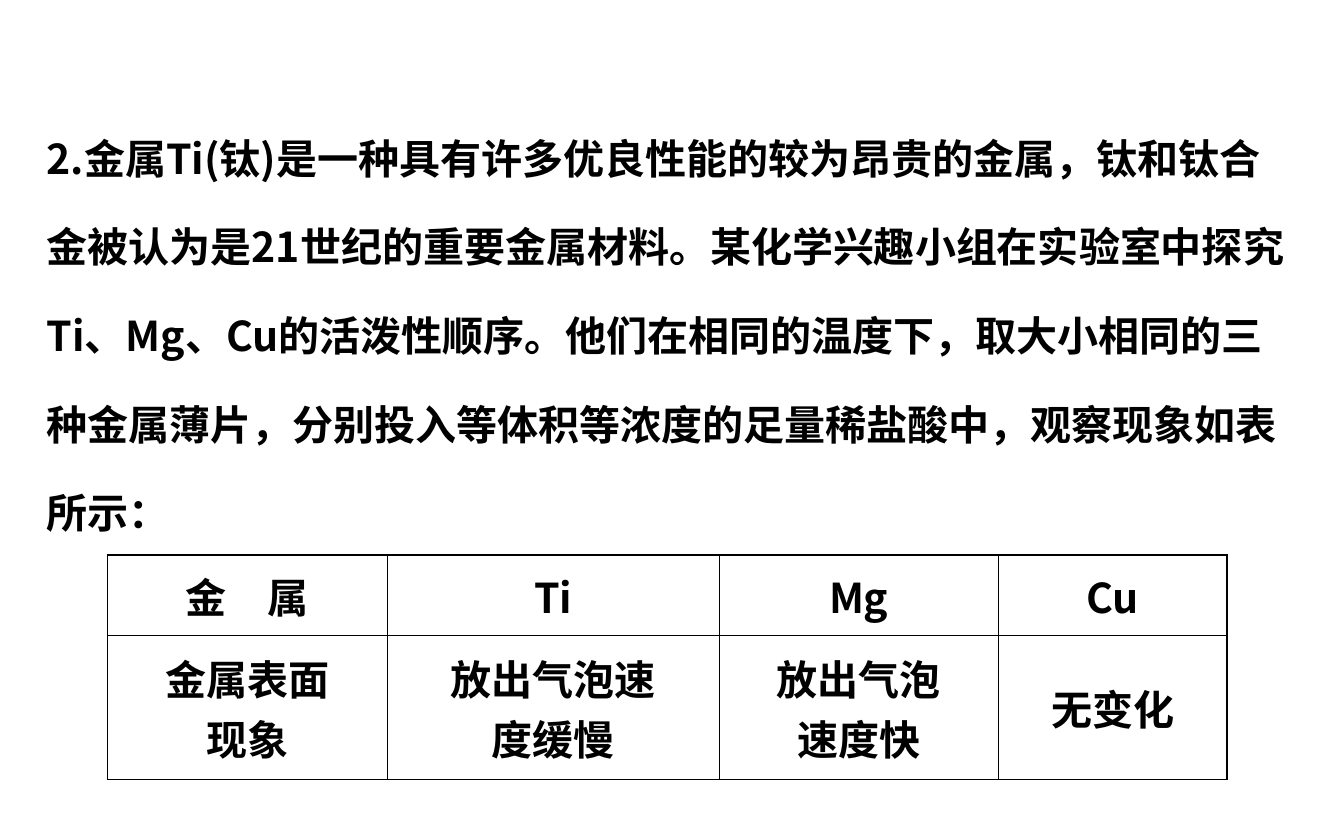
from lxml import etree
from pptx import Presentation
from pptx.dml.color import RGBColor
from pptx.enum.text import MSO_ANCHOR, PP_ALIGN
from pptx.oxml.ns import qn
from pptx.util import Inches, Pt

LEFT, CENTER = PP_ALIGN.LEFT, PP_ALIGN.CENTER
MIDDLE = MSO_ANCHOR.MIDDLE

FONT = "Noto Sans CJK SC"
COLORS = {"text": "000000", "border": "000000"}
OUTER_LINE, INNER_LINE = 0.75, 0.45

QUESTION = (
    "2.金属Ti(钛)是一种具有许多优良性能的较为昂贵的金属，钛和钛合金被认为是21世纪的重要金属材料。"
    "某化学兴趣小组在实验室中探究Ti、Mg、Cu的活泼性顺序。他们在相同的温度下，"
    "取大小相同的三种金属薄片，分别投入等体积等浓度的足量稀盐酸中，观察现象如表所示："
)
OBSERVATIONS = [
    [["金　属"], ["Ti"], ["Mg"], ["Cu"]],
    [["金属表面", "现象"], ["放出气泡速", "度缓慢"], ["放出气泡", "速度快"], ["无变化"]],
]
COLUMN_WIDTHS = [2.08, 2.47, 2.08, 1.7]
ROW_HEIGHTS = [0.6, 1.07]


def write_text(frame, paragraphs, size=22, bold=True, align=LEFT, line_spacing=None):
    frame.word_wrap = True
    for index, text in enumerate(paragraphs):
        paragraph = frame.paragraphs[0] if index == 0 else frame.add_paragraph()
        paragraph.alignment = align
        if line_spacing:
            paragraph.line_spacing = line_spacing
        run = paragraph.add_run()
        run.text = text
        run.font.size = Pt(size)
        run.font.bold = bold
        run.font.color.rgb = RGBColor.from_string(COLORS["text"])
        run.font.name = FONT
        east_asian = etree.SubElement(run.font._element, qn("a:ea"))
        east_asian.set("typeface", FONT)


def set_borders(cell, widths):
    """Draw the cell's borders; widths are points for left, right, top, bottom."""
    properties = cell._tc.get_or_add_tcPr()
    for position, (side, width) in enumerate(zip("LRTB", widths)):
        line = etree.Element(qn(f"a:ln{side}"), w=str(Pt(width)))
        fill = etree.SubElement(line, qn("a:solidFill"))
        etree.SubElement(fill, qn("a:srgbClr"), val=COLORS["border"])
        properties.insert(position, line)


def add_question(slide):
    box = slide.shapes.add_textbox(Inches(0.25), Inches(0.65), Inches(9.43), Inches(3.4))
    write_text(box.text_frame, [QUESTION], line_spacing=1.8)


def add_observations(slide):
    last_row, last_column = len(ROW_HEIGHTS) - 1, len(COLUMN_WIDTHS) - 1
    table = slide.shapes.add_table(
        len(ROW_HEIGHTS), len(COLUMN_WIDTHS), Inches(0.8), Inches(4.13),
        Inches(sum(COLUMN_WIDTHS)), Inches(sum(ROW_HEIGHTS)),
    ).table
    table.first_row = table.horz_banding = False
    for column, width in zip(table.columns, COLUMN_WIDTHS):
        column.width = Inches(width)
    for row, height in zip(table.rows, ROW_HEIGHTS):
        row.height = Inches(height)

    for r, row in enumerate(OBSERVATIONS):
        for c, paragraphs in enumerate(row):
            cell = table.cell(r, c)
            cell.vertical_anchor = MIDDLE
            cell.fill.background()
            write_text(cell.text_frame, paragraphs, align=CENTER)
            on_edge = (c == 0, c == last_column, r == 0, r == last_row)
            set_borders(cell, [OUTER_LINE if edge else INNER_LINE for edge in on_edge])


def main():
    deck = Presentation()
    deck.slide_width, deck.slide_height = Inches(10), Inches(6.25)
    slide = deck.slides.add_slide(deck.slide_layouts[6])
    add_question(slide)
    add_observations(slide)
    deck.save("out.pptx")


if __name__ == "__main__":
    main()
